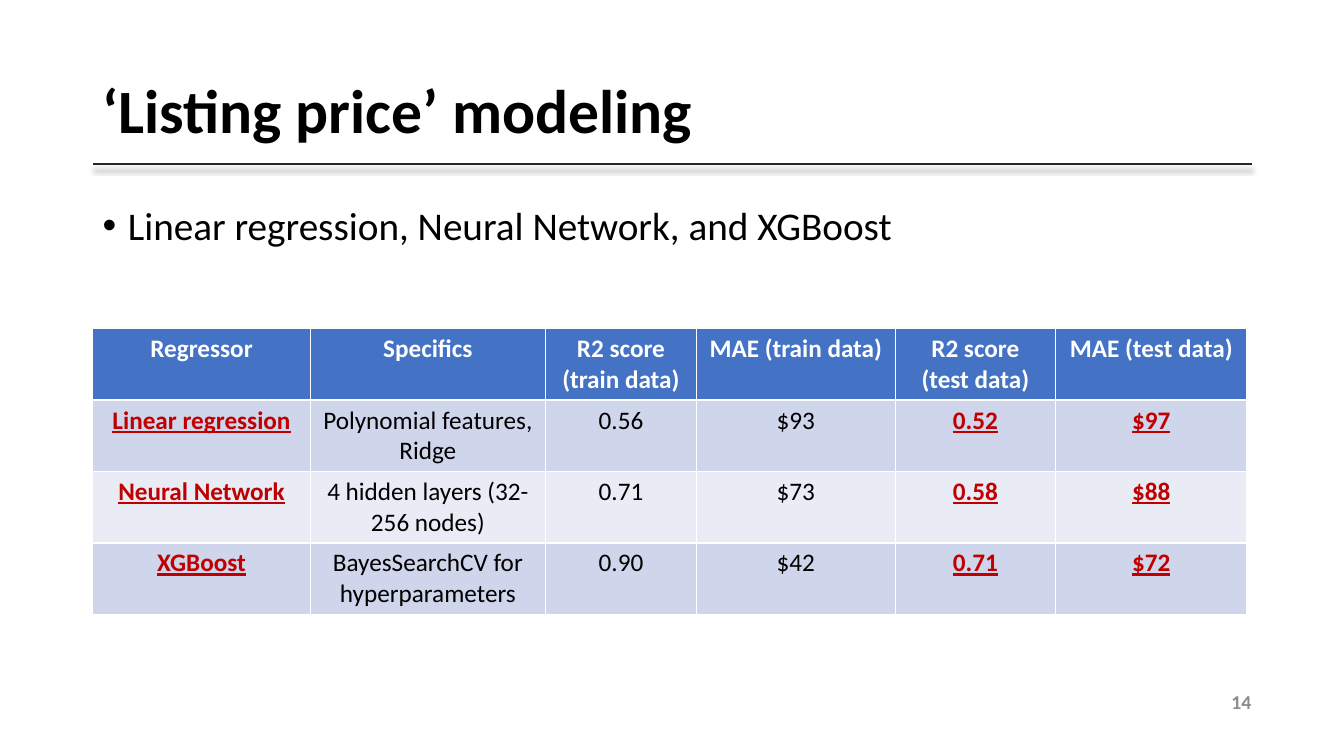
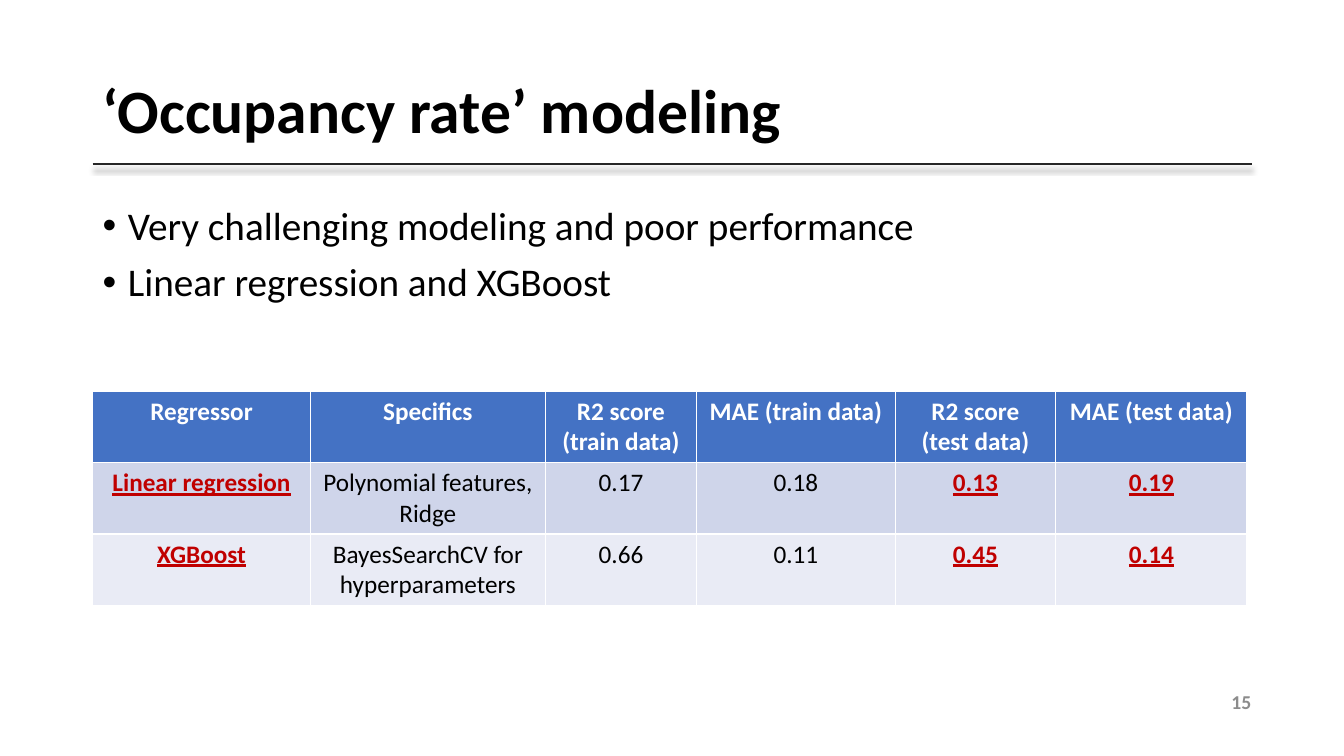
"""Builds two slides that compare regressors for listing price and occupancy rate."""
from lxml import etree
from pptx import Presentation
from pptx.dml.color import RGBColor
from pptx.enum.shapes import MSO_CONNECTOR
from pptx.enum.text import MSO_ANCHOR, PP_ALIGN
from pptx.oxml import parse_xml
from pptx.oxml.ns import nsdecls, qn
from pptx.util import Inches, Pt

LEFT, CENTER, RIGHT = PP_ALIGN.LEFT, PP_ALIGN.CENTER, PP_ALIGN.RIGHT
TOP, MIDDLE = MSO_ANCHOR.TOP, MSO_ANCHOR.MIDDLE
STRAIGHT = MSO_CONNECTOR.STRAIGHT

FONT = "Calibri"
BLACK, WHITE, RED, GREY = "000000", "FFFFFF", "C00000", "8C8C8C"
RULE, HEADER_FILL, BANDS = "262626", "4472C4", ("CFD5EA", "E9EBF5")

WIDTH, HEIGHT = Inches(13.33), Inches(7.5)
COLUMN, ROW = WIDTH / 100, HEIGHT / 100
MARGIN, CONTENT = 6.9, 86.25
RULE_TOP, TABLE_ROW = 21.73, 9.45
TABLE_COLUMNS = (16.2, 17.48, 11.25, 14.78, 11.93, 14.25)
KEY_COLUMNS = (0, 4, 5)

HEADINGS = ("Regressor", "Specifics", "R2 score (train data)",
            "MAE (train data)", "R2 score (test data)", "MAE (test data)")
RIDGE = ("Linear regression", "Polynomial features, Ridge")
NETWORK = ("Neural Network", "4 hidden layers (32-256 nodes)")
BOOST = ("XGBoost", "BayesSearchCV for hyperparameters")

SLIDES = (
    ("‘Listing price’ modeling", 14, 43.47,
     ("Linear regression, Neural Network, and XGBoost",),
     ((*RIDGE, "0.56", "$93", "0.52", "$97"),
      (*NETWORK, "0.71", "$73", "0.58", "$88"),
      (*BOOST, "0.90", "$42", "0.71", "$72"))),
    ("‘Occupancy rate’ modeling", 15, 51.73,
     ("Very challenging modeling and poor performance",
      "Linear regression and XGBoost"),
     ((*RIDGE, "0.17", "0.18", "0.13", "0.19"),
      (*BOOST, "0.66", "0.11", "0.45", "0.14"))),
)

SHADOW = (f'<a:effectLst {nsdecls("a")}><a:outerShdw blurRad="{Pt(4)}" dist="{Pt(3)}"'
          ' dir="5400000" rotWithShape="0"><a:srgbClr val="000000">'
          '<a:alpha val="40000"/></a:srgbClr></a:outerShdw></a:effectLst>')


def write(para, text, size, color, align=LEFT, bold=False, underline=False):
    para.alignment = align
    span = para.add_run()
    span.text = text
    span.font.name, span.font.size = FONT, Pt(size)
    span.font.bold, span.font.underline = bold, underline
    span.font.color.rgb = RGBColor.from_string(color)


def add_frame(page, left, top, width, height, anchor):
    box = page.shapes.add_textbox(int(left * COLUMN), int(top * ROW),
                                  int(width * COLUMN), int(height * ROW))
    frame = box.text_frame
    frame.word_wrap = True
    frame.vertical_anchor = anchor
    return frame


deck = Presentation()
deck.slide_width, deck.slide_height = WIDTH, HEIGHT

for title, number, table_top, bullets, results in SLIDES:
    page = deck.slides.add_slide(deck.slide_layouts[6])

    rule_y = int(RULE_TOP * ROW)
    rule = page.shapes.add_connector(STRAIGHT, int(MARGIN * COLUMN), rule_y,
                                     int((MARGIN + CONTENT) * COLUMN), rule_y)
    rule.line.color.rgb = RGBColor.from_string(RULE)
    rule.line.width = Pt(1.5)
    rule.element.spPr.append(parse_xml(SHADOW))

    heading = add_frame(page, MARGIN, 5.33, CONTENT, 19.33, MIDDLE).paragraphs[0]
    heading.line_spacing = 0.9
    write(heading, title, 44, BLACK, bold=True)

    body = add_frame(page, MARGIN, 26.67, CONTENT, 63.47, TOP)
    for index, bullet in enumerate(bullets):
        para = body.add_paragraph() if index else body.paragraphs[0]
        write(para, bullet, 28, BLACK)
        para.line_spacing, para.space_before = 0.9, Pt(10)
        properties = para._p.get_or_add_pPr()
        properties.set("marL", str(Inches(0.25)))
        properties.set("indent", str(Inches(-0.25)))
        etree.SubElement(properties, qn("a:buFont")).set("typeface", "Arial")
        etree.SubElement(properties, qn("a:buChar")).set("char", "•")

    footer = add_frame(page, 71.34, 90.13, 22.5, 5.33, MIDDLE)
    write(footer.paragraphs[0], str(number), 14, GREY, RIGHT, bold=True)

    rows = (HEADINGS, *results)
    table = page.shapes.add_table(
        len(rows), len(HEADINGS), int(MARGIN * COLUMN), int(table_top * ROW),
        int(sum(TABLE_COLUMNS) * COLUMN), int(len(rows) * TABLE_ROW * ROW)).table
    for column, share in zip(table.columns, TABLE_COLUMNS):
        column.width = int(share * COLUMN)
    for row_index, texts in enumerate(rows):
        is_header = row_index == 0
        fill = HEADER_FILL if is_header else BANDS[(row_index - 1) % 2]
        for column_index, text in enumerate(texts):
            cell = table.cell(row_index, column_index)
            cell.fill.solid()
            cell.fill.fore_color.rgb = RGBColor.from_string(fill)
            is_key = not is_header and column_index in KEY_COLUMNS
            color = WHITE if is_header else RED if is_key else BLACK
            write(cell.text_frame.paragraphs[0], text, 18, color, CENTER,
                  bold=is_header or is_key, underline=is_key)

deck.save("out.pptx")
